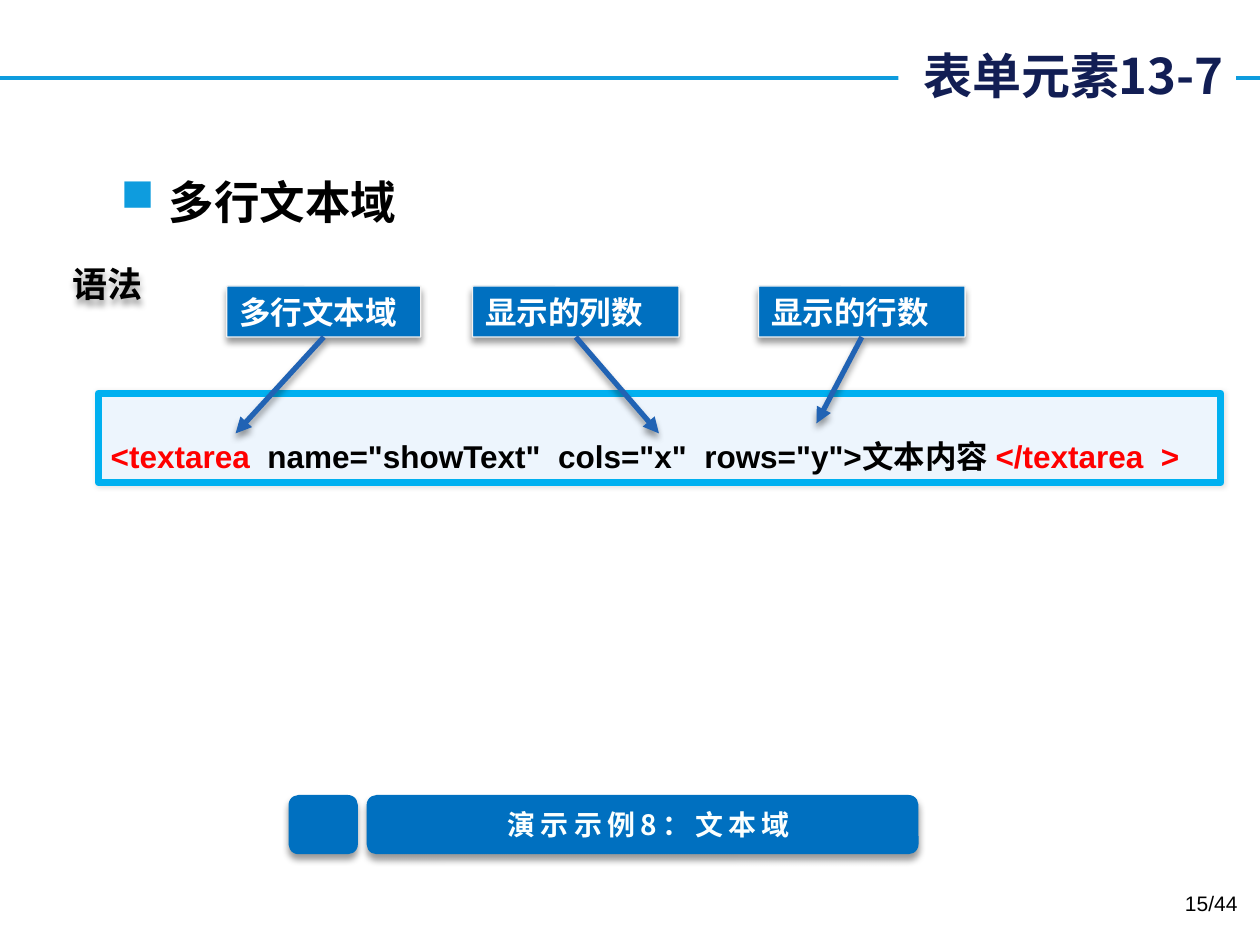
from lxml import etree
from pptx import Presentation
from pptx.dml.color import RGBColor
from pptx.enum.shapes import MSO_CONNECTOR, MSO_SHAPE
from pptx.enum.text import MSO_ANCHOR, PP_ALIGN
from pptx.oxml.ns import qn
from pptx.util import Inches, Pt

STRAIGHT = MSO_CONNECTOR.STRAIGHT
RECTANGLE, ROUNDED = MSO_SHAPE.RECTANGLE, MSO_SHAPE.ROUNDED_RECTANGLE
TOP, MIDDLE, BOTTOM = MSO_ANCHOR.TOP, MSO_ANCHOR.MIDDLE, MSO_ANCHOR.BOTTOM
LEFT, CENTER, RIGHT = PP_ALIGN.LEFT, PP_ALIGN.CENTER, PP_ALIGN.RIGHT

COLORS = {
    "white": "FFFFFF", "black": "000000", "red": "FF0000", "navy": "121E54",
    "sky": "0E9CDE", "cyan": "00B0F0", "pale": "EDF5FD", "blue": "0070C0",
    "edge": "F2F2F2", "arrow": "2163B4", "ice": "FBFFFE",
}
PALETTE = {name: RGBColor.from_string(value) for name, value in COLORS.items()}
LATIN, CHINESE = "Arial", "Noto Sans CJK SC"

# The slide is a grid of 100 columns by 75 rows.
deck = Presentation()
deck.slide_width, deck.slide_height = Inches(10), Inches(7.5)
COL, ROW = deck.slide_width / 100, deck.slide_height / 75
page = deck.slides.add_slide(deck.slide_layouts[6])
shapes = page.shapes


def write(shape, *spans, size, font=LATIN, bold=True, align=LEFT, anchor=TOP,
          wrap=True, tracking=0):
    """Fill a shape with one paragraph of (text, colour name) spans."""
    frame = shape.text_frame
    frame.word_wrap, frame.vertical_anchor = wrap, anchor
    para = frame.paragraphs[0]
    para.alignment = align
    for text, color in spans:
        span = para.add_run()
        span.text = text
        span.font.size, span.font.bold, span.font.name = Pt(size), bold, font
        span.font.color.rgb = PALETTE[color]
        properties = span.font._element
        etree.SubElement(properties, qn("a:ea"), typeface=CHINESE)
        if tracking:
            properties.set("spc", str(tracking * 100))
    return para


def set_shadow(shape, opacity=0, blur=4, distance=3):
    """Give a shape a downward shadow, or none when opacity is 0."""
    effects = etree.SubElement(shape._element.spPr, qn("a:effectLst"))
    if opacity:
        shadow = etree.SubElement(
            effects, qn("a:outerShdw"), blurRad=str(Pt(blur)), dist=str(Pt(distance)),
            dir="5400000", algn="ctr", rotWithShape="0")
        black = etree.SubElement(shadow, qn("a:srgbClr"), val=COLORS["black"])
        etree.SubElement(black, qn("a:alpha"), val=str(opacity * 1000))


# Header rule and title
rule = shapes.add_connector(STRAIGHT, 0, int(6.2 * ROW), int(100 * COL), int(6.2 * ROW))
rule.line.color.rgb, rule.line.width = PALETTE["sky"], Pt(2.25)
set_shadow(rule)

title = shapes.add_shape(RECTANGLE, int(71.3 * COL), int(3.1 * ROW), int(26.8 * COL), int(5.7 * ROW))
title.fill.solid()
title.fill.fore_color.rgb = PALETTE["white"]
title.line.fill.background()
title.shadow.inherit = False
title.text_frame.margin_left = 0
write(title, ("表单元素13-7", "navy"), size=28, font=CHINESE, align=RIGHT, anchor=MIDDLE)

# Bulleted topic
topic = shapes.add_textbox(int(8.6 * COL), int(13.3 * ROW), int(83.6 * COL), int(56.3 * ROW))
para = write(topic, ("多行文本域", "black"), size=26)
bullet = para._p.get_or_add_pPr()
bullet.set("marL", str(Inches(0.38)))
bullet.set("indent", str(Inches(-0.38)))
bullet_color = etree.SubElement(bullet, qn("a:buClr"))
etree.SubElement(bullet_color, qn("a:srgbClr"), val=COLORS["sky"])
etree.SubElement(bullet, qn("a:buChar"), char="■")

# Syntax heading and code line
heading = shapes.add_textbox(int(4.8 * COL), int(20.3 * ROW), int(7.7 * COL), int(4.4 * ROW))
write(heading, ("语法", "black"), size=20, font=CHINESE, anchor=MIDDLE, wrap=False)
set_shadow(heading, opacity=40)

code = shapes.add_shape(ROUNDED, int(7.8 * COL), int(31.2 * ROW), int(89.1 * COL), int(7.1 * ROW))
code.adjustments[0] = 0
code.fill.solid()
code.fill.fore_color.rgb = PALETTE["pale"]
code.line.color.rgb, code.line.width = PALETTE["cyan"], Pt(4)
set_shadow(code, opacity=10, blur=3, distance=0)
para = write(code, ("<textarea  ", "red"),
             ('name="showText"  cols="x"  rows="y">文本内容 ', "black"),
             ("</textarea  >", "red"), size=18)
para.line_spacing = 2.0

# Labels, each with an arrow from its bottom centre to the code
LABEL_TOP, LABEL_HEIGHT = 22.7, 4.05
labels = [  # text, left, width, arrow tip column, arrow tip row
    ("多行文本域", 18, 15.4, 18.7, 34.4),
    ("显示的列数", 37.5, 16.4, 52.3, 34.4),
    ("显示的行数", 60.2, 16.4, 64.8, 33.6),
]
for text, left, width, tip_column, tip_row in labels:
    label = shapes.add_shape(ROUNDED, int(left * COL), int(LABEL_TOP * ROW),
                             int(width * COL), int(LABEL_HEIGHT * ROW))
    label.adjustments[0] = 0.02
    label.fill.solid()
    label.fill.fore_color.rgb = PALETTE["blue"]
    label.line.color.rgb, label.line.width = PALETTE["edge"], Pt(0.75)
    set_shadow(label, opacity=40)
    write(label, (text, "white"), size=18, anchor=BOTTOM)

    arrow = shapes.add_connector(
        STRAIGHT, int((left + width / 2) * COL), int((LABEL_TOP + LABEL_HEIGHT) * ROW),
        int(tip_column * COL), int(tip_row * ROW))
    arrow.line.color.rgb, arrow.line.width = PALETTE["arrow"], Pt(3)
    etree.SubElement(arrow.line._get_or_add_ln(), qn("a:tailEnd"), type="triangle")
    set_shadow(arrow, opacity=40)

# Demo banner
for left, width in [(22.9, 5.5), (29.1, 43.8)]:
    banner = shapes.add_shape(ROUNDED, int(left * COL), int(63.1 * ROW),
                              int(width * COL), int(4.7 * ROW))
    banner.fill.solid()
    banner.fill.fore_color.rgb = PALETTE["blue"]
    banner.line.fill.background()
    set_shadow(banner, opacity=40)

demo = shapes.add_textbox(int(38.5 * COL), int(63.6 * ROW), int(26 * COL), int(3.7 * ROW))
write(demo, ("演示示例8：文本域", "ice"), size=16, font=CHINESE, align=CENTER, wrap=False, tracking=3)

# Page number
number = shapes.add_textbox(int(75.9 * COL), int(70.2 * ROW), int(23.3 * COL), int(4 * ROW))
write(number, ("15/44", "black"), size=12, bold=False, align=RIGHT)

deck.save("out.pptx")
